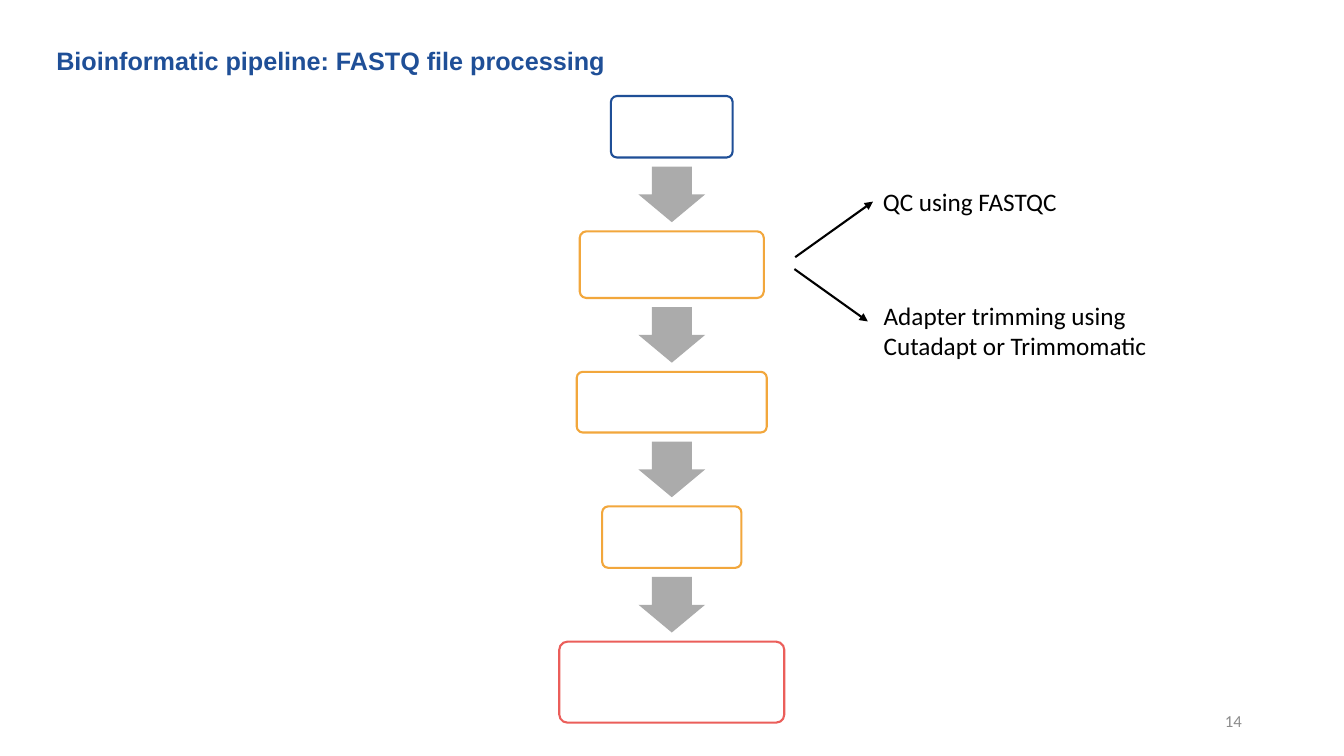
from dataclasses import dataclass

from lxml.etree import SubElement
from pptx import Presentation
from pptx.dml.color import RGBColor
from pptx.enum.shapes import MSO_CONNECTOR, MSO_SHAPE
from pptx.enum.text import MSO_ANCHOR, MSO_AUTO_SIZE, PP_ALIGN
from pptx.oxml.ns import qn
from pptx.util import Cm, Pt


@dataclass(frozen=True)
class Theme:
    blue: str = "1F4F97"
    orange: str = "F2A73C"
    red: str = "EB5E5A"
    grey: str = "ABABAB"
    white: str = "FFFFFF"
    black: str = "000000"
    number: str = "8C8C8C"
    heading_font: str = "Arial"
    body_font: str = "Calibri"
    text_size: float = 18
    number_size: float = 12
    line_width: float = 1.5


class PipelineSlide:
    def __init__(self, page, theme):
        self.page = page
        self.theme = theme

    def text(self, words, left, top, width, height, color, font,
             size=None, bold=False):
        box = self.page.shapes.add_textbox(Cm(left), Cm(top), Cm(width), Cm(height))
        frame = box.text_frame
        frame.text = words
        frame.word_wrap = True
        frame.auto_size = MSO_AUTO_SIZE.SHAPE_TO_FIT_TEXT
        span = frame.paragraphs[0].runs[0]
        span.font.name = font
        span.font.size = Pt(size or self.theme.text_size)
        span.font.bold = bold
        span.font.color.rgb = RGBColor.from_string(color)
        return frame

    def page_number(self, words, left, top, width, height):
        frame = self.text(words, left, top, width, height, self.theme.number,
                          self.theme.body_font, self.theme.number_size)
        frame.auto_size = MSO_AUTO_SIZE.NONE
        frame.vertical_anchor = MSO_ANCHOR.MIDDLE
        frame.paragraphs[0].alignment = PP_ALIGN.RIGHT

    def shape(self, kind, center_x, center_y, width, height, fill):
        shape = self.page.shapes.add_shape(
            kind, Cm(center_x - width / 2), Cm(center_y - height / 2),
            Cm(width), Cm(height))
        shape.shadow.inherit = False
        shape.fill.solid()
        shape.fill.fore_color.rgb = RGBColor.from_string(fill)
        return shape

    def step(self, center_x, top, width, height, color):
        box = self.shape(MSO_SHAPE.ROUNDED_RECTANGLE, center_x,
                         top + height / 2, width, height, self.theme.white)
        box.adjustments[0] = 0.1
        box.line.color.rgb = RGBColor.from_string(color)
        box.line.width = Pt(self.theme.line_width)

    def down_arrow(self, center_x, center_y, length, breadth):
        arrow = self.shape(MSO_SHAPE.RIGHT_ARROW, center_x, center_y,
                           length, breadth, self.theme.grey)
        arrow.adjustments[0] = 0.6
        arrow.adjustments[1] = 0.5
        arrow.rotation = 90
        arrow.line.fill.background()

    def pointer(self, x1, y1, x2, y2):
        pointer = self.page.shapes.add_connector(
            MSO_CONNECTOR.STRAIGHT, Cm(x1), Cm(y1), Cm(x2), Cm(y2))
        pointer.line.color.rgb = RGBColor.from_string(self.theme.black)
        pointer.line.width = Pt(self.theme.line_width)
        SubElement(pointer.line._get_or_add_ln(), qn("a:tailEnd"), type="triangle")
        SubElement(pointer._element.spPr, qn("a:effectLst"))


def main():
    deck = Presentation()
    deck.slide_width, deck.slide_height = Cm(33.87), Cm(19.05)
    theme = Theme()
    slide = PipelineSlide(deck.slides.add_slide(deck.slide_layouts[6]), theme)

    # Page number and title
    slide.page_number("14", 23.93, 17.65, 7.62, 1.02)
    slide.text("Bioinformatic pipeline: FASTQ file processing",
               1.17, 1.02, 18.87, 1.02, theme.blue, theme.heading_font, bold=True)

    # Column of steps, with an arrow centred in each gap
    center_x, top, gap = 16.93, 2.42, 1.86
    steps = [
        (3.07, 1.55, theme.blue),
        (4.64, 1.68, theme.orange),
        (4.79, 1.53, theme.orange),
        (3.51, 1.55, theme.orange),
        (5.67, 2.04, theme.red),
    ]
    for index, (width, height, color) in enumerate(steps):
        if index:
            slide.down_arrow(center_x, top - gap / 2, 1.4, 1.68)
        slide.step(center_x, top, width, height, color)
        top += height + gap

    # Notes on the second step
    slide.text("QC using FASTQC", 22, 4.57, 5.72, 1.02,
               theme.black, theme.body_font)
    slide.text("Adapter trimming using Cutadapt or Trimmomatic",
               22.02, 7.44, 8.41, 1.8, theme.black, theme.body_font)
    slide.pointer(20.04, 6.48, 22, 5.08)
    slide.pointer(20.02, 6.78, 21.87, 8.1)

    deck.save("out.pptx")


if __name__ == "__main__":
    main()
